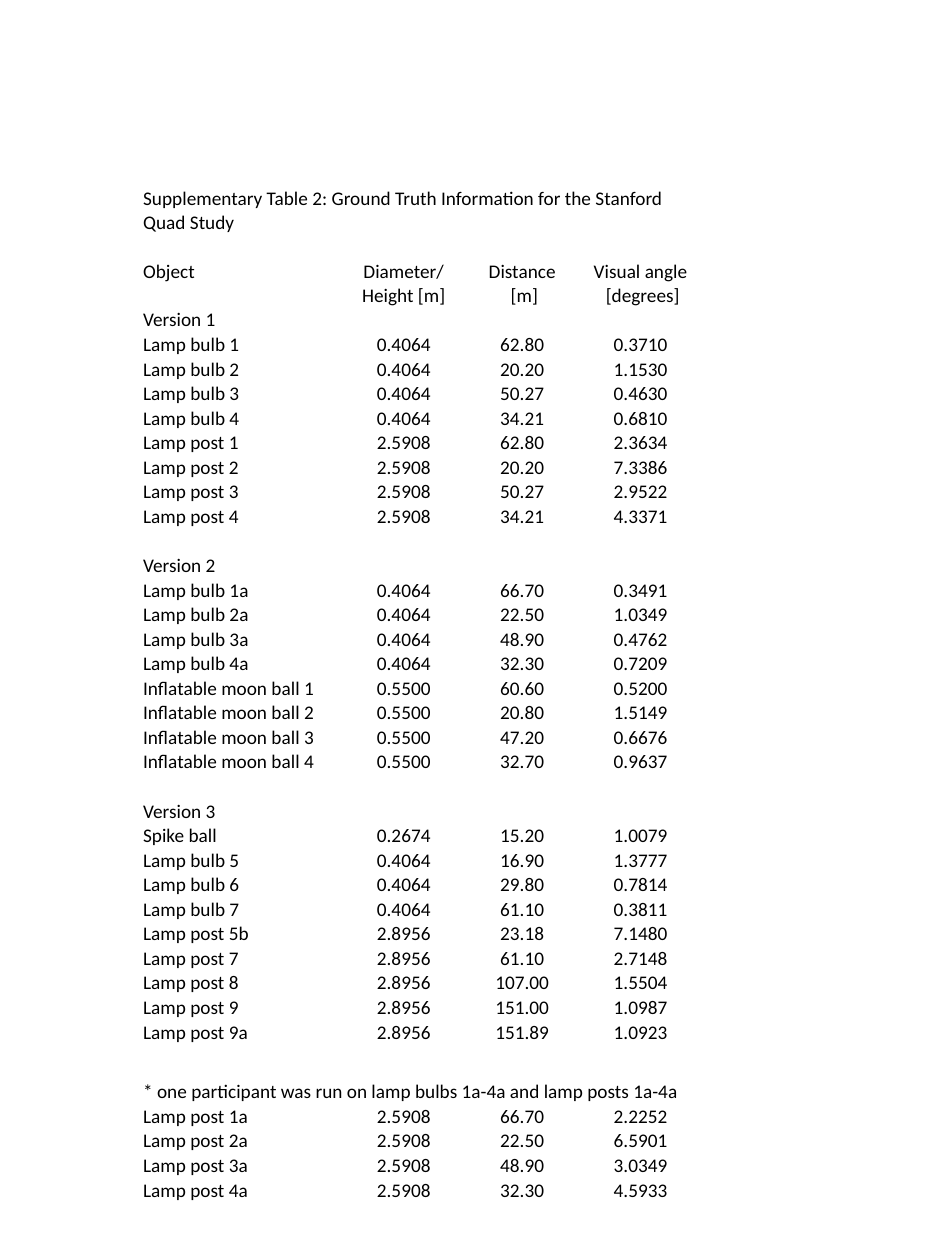
import pptx
import pptx.dml.color
import pptx.enum.text
import pptx.oxml
import pptx.oxml.ns
import pptx.util

Inches, Pt = pptx.util.Inches, pptx.util.Pt
PP_ALIGN, ANCHOR = pptx.enum.text.PP_ALIGN, pptx.enum.text.MSO_ANCHOR

FONT, SIZE = "Calibri", 11
INK, BORDER = "000000", "FFFFFF"
CELL_MARGIN = Pt(0.45)
COLUMN_WIDTHS = (1.57, 1.01, 0.87, 1.01)
ROW_HEIGHT, TALL_ROW_HEIGHT = 0.15, 0.28

TITLE = "Supplementary Table 2: Ground Truth Information for the Stanford Quad Study"
HEADINGS = ("Object", "Diameter/\nHeight [m]", "Distance\n [m]", "Visual angle\n [degrees]")
FOOTNOTE = "* one participant was run on lamp bulbs 1a-4a and lamp posts 1a-4a"

VERSION_1 = (
    ("Lamp bulb 1", "0.4064", "62.80", "0.3710"),
    ("Lamp bulb 2", "0.4064", "20.20", "1.1530"),
    ("Lamp bulb 3", "0.4064", "50.27", "0.4630"),
    ("Lamp bulb 4", "0.4064", "34.21", "0.6810"),
    ("Lamp post 1", "2.5908", "62.80", "2.3634"),
    ("Lamp post 2", "2.5908", "20.20", "7.3386"),
    ("Lamp post 3", "2.5908", "50.27", "2.9522"),
    ("Lamp post 4", "2.5908", "34.21", "4.3371"),
)
VERSION_2 = (
    ("Lamp bulb 1a", "0.4064", "66.70", "0.3491"),
    ("Lamp bulb 2a", "0.4064", "22.50", "1.0349"),
    ("Lamp bulb 3a", "0.4064", "48.90", "0.4762"),
    ("Lamp bulb 4a", "0.4064", "32.30", "0.7209"),
    ("Inflatable moon ball 1", "0.5500", "60.60", "0.5200"),
    ("Inflatable moon ball 2", "0.5500", "20.80", "1.5149"),
    ("Inflatable moon ball 3", "0.5500", "47.20", "0.6676"),
    ("Inflatable moon ball 4", "0.5500", "32.70", "0.9637"),
)
VERSION_3 = (
    ("Spike ball", "0.2674", "15.20", "1.0079"),
    ("Lamp bulb 5", "0.4064", "16.90", "1.3777"),
    ("Lamp bulb 6", "0.4064", "29.80", "0.7814"),
    ("Lamp bulb 7", "0.4064", "61.10", "0.3811"),
    ("Lamp post 5b", "2.8956", "23.18", "7.1480"),
    ("Lamp post 7", "2.8956", "61.10", "2.7148"),
    ("Lamp post 8", "2.8956", "107.00", "1.5504"),
    ("Lamp post 9", "2.8956", "151.00", "1.0987"),
    ("Lamp post 9a", "2.8956", "151.89", "1.0923"),
)
EXTRA_POSTS = (
    ("Lamp post 1a", "2.5908", "66.70", "2.2252"),
    ("Lamp post 2a", "2.5908", "22.50", "6.5901"),
    ("Lamp post 3a", "2.5908", "48.90", "3.0349"),
    ("Lamp post 4a", "2.5908", "32.30", "4.5933"),
)
BLANK = ()
ROWS = (
    (TITLE,), BLANK, HEADINGS,
    ("Version 1",), *VERSION_1, BLANK,
    ("Version 2",), *VERSION_2, BLANK,
    ("Version 3",), *VERSION_3, BLANK,
    (FOOTNOTE,), *EXTRA_POSTS, BLANK,
)
SPANNING = ((TITLE,), (FOOTNOTE,))
TALL = (*SPANNING, HEADINGS)
TOP_ANCHORED = ((TITLE,), HEADINGS)


def rgb(hex_code):
    return pptx.dml.color.RGBColor.from_string(hex_code)


def border_cell(cell):
    properties = cell._tc.get_or_add_tcPr()
    for side in "LRTB":
        properties.append(pptx.oxml.parse_xml(
            f'<a:ln{side} {pptx.oxml.ns.nsdecls("a")} w="{Pt(1)}"><a:solidFill>'
            f'<a:srgbClr val="{BORDER}"/></a:solidFill></a:ln{side}>'))


def write_cell(cell, text, align, anchor):
    cell.margin_left = cell.margin_right = cell.margin_top = CELL_MARGIN
    cell.margin_bottom = 0
    cell.vertical_anchor = anchor
    border_cell(cell)
    cell.fill.background()
    paragraph = cell.text_frame.paragraphs[0]
    paragraph.alignment = align
    if not text:
        # The end mark sets the height of an empty row.
        paragraph._p.get_or_add_endParaRPr().set("sz", str(SIZE * 100))
        return
    for number, line in enumerate(text.split("\n")):
        if number:
            paragraph.add_line_break()
        run = paragraph.add_run()
        run.text = line
        run.font.name, run.font.size = FONT, Pt(SIZE)
        run.font.color.rgb = rgb(INK)


def add_ground_truth_table(slide, left, top, width, height):
    frame = slide.shapes.add_table(len(ROWS), len(COLUMN_WIDTHS), left, top, width, height)
    table = frame.table
    table.first_row = table.horz_banding = False
    for column, share in zip(table.columns, COLUMN_WIDTHS):
        column.width = int(width * share / sum(COLUMN_WIDTHS))
    for r, texts in enumerate(ROWS):
        table.rows[r].height = Inches(TALL_ROW_HEIGHT if texts in TALL else ROW_HEIGHT)
        anchor = ANCHOR.TOP if texts in TOP_ANCHORED else ANCHOR.BOTTOM
        for c in range(len(COLUMN_WIDTHS)):
            write_cell(table.cell(r, c), texts[c] if c < len(texts) else "",
                       PP_ALIGN.CENTER if c else PP_ALIGN.LEFT, anchor)
        if texts in SPANNING:
            table.cell(r, 0).merge(table.cell(r, len(COLUMN_WIDTHS) - 1))
    frame.height = height


def main():
    deck = pptx.Presentation()
    deck.slide_width, deck.slide_height = Inches(7.5), Inches(10)
    slide = deck.slides.add_slide(deck.slide_layouts[6])
    add_ground_truth_table(slide, Inches(1.13), Inches(1.48),
                           Inches(sum(COLUMN_WIDTHS)), Inches(8.05))
    deck.save("out.pptx")


if __name__ == "__main__":
    main()
